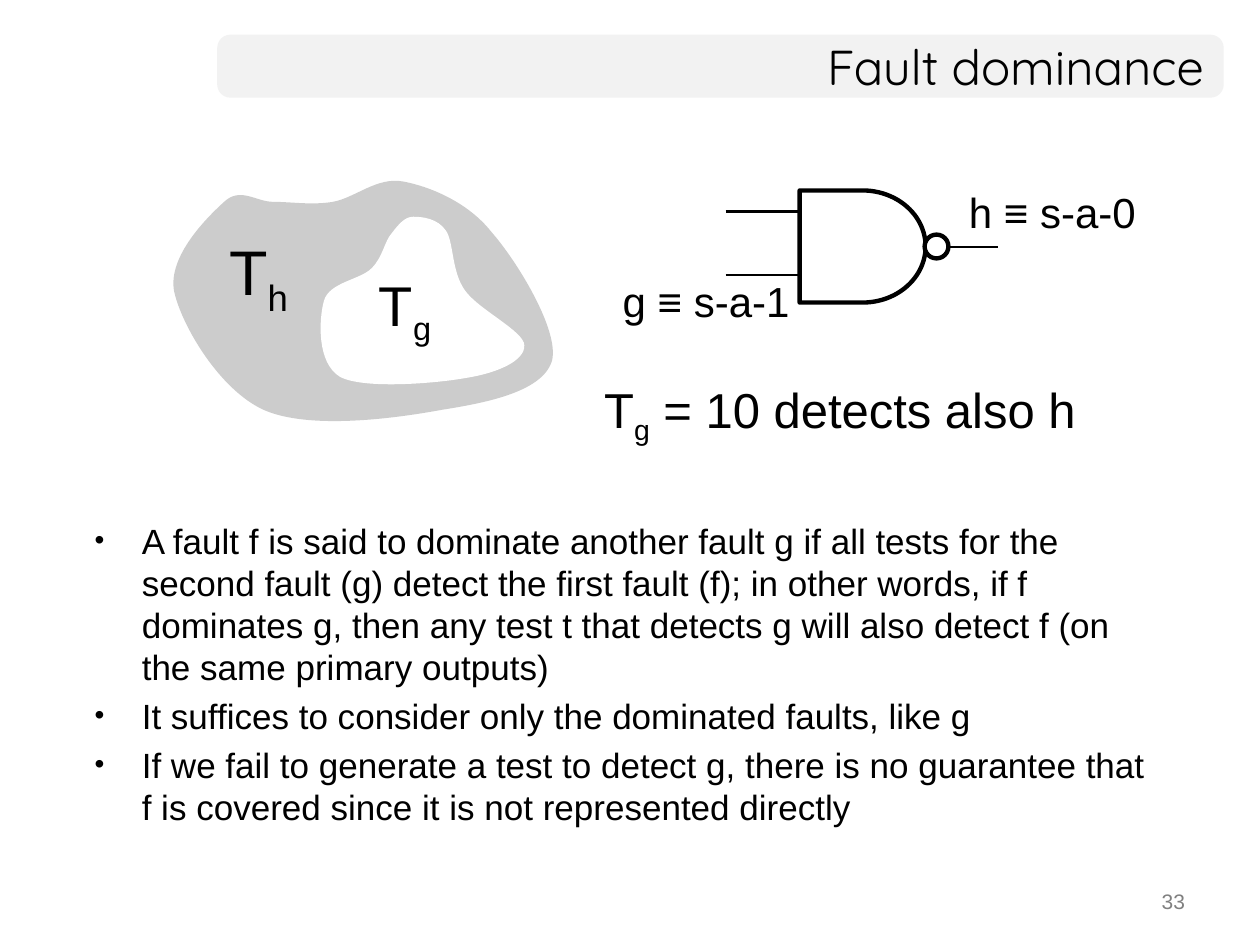
from collections import namedtuple

from lxml.etree import SubElement
from pptx import Presentation
from pptx.dml.color import RGBColor
from pptx.enum.shapes import MSO_CONNECTOR, MSO_SHAPE
from pptx.enum.text import MSO_ANCHOR, MSO_AUTO_SIZE, PP_ALIGN
from pptx.oxml.ns import qn
from pptx.util import Cm, Pt

Box = namedtuple("Box", "left top width height")

BLACK, WHITE, GREY, PANEL = "000000", "FFFFFF", "808080", "F2F2F2"
BODY_FONT, TITLE_FONT = "Arial", "Quicksand"

OUTER_SET = [
    (2.13, 0.51), (2.51, 0.51), (2.9, 0.58), (3.33, 0.51), (3.78, 0.43), (4.22, 0),
    (4.75, 0.1), (5.28, 0.2), (6.05, 0.51), (6.53, 1.12), (7.04, 1.7), (7.9, 3.1),
    (7.75, 3.71), (7.57, 4.32), (6.5, 4.55), (5.54, 4.7), (4.57, 4.88), (2.84, 5.11),
    (1.93, 4.7), (1.04, 4.29), (0.28, 3), (0.13, 2.31), (0, 1.6), (0.81, 0.81),
    (1.14, 0.51), (1.47, 0.2), (1.78, 0.51), (2.13, 0.51),
]
INNER_SET = [
    (4.52, 1.14), (4.65, 0.97), (4.78, 0.81), (4.95, 0.81), (5.13, 0.81), (5.44, 0.84),
    (5.61, 1.09), (5.77, 1.32), (5.72, 1.91), (5.99, 2.29), (6.25, 2.67), (7.19, 3.12),
    (7.19, 3.4), (7.21, 3.71), (6.65, 3.96), (6.02, 4.06), (5.41, 4.17), (3.96, 4.29),
    (3.48, 4.04), (3, 3.76), (3.05, 2.87), (3.15, 2.51), (3.25, 2.13), (3.89, 2.08),
    (4.11, 1.85), (4.34, 1.63), (4.37, 1.3), (4.52, 1.14),
]
STATEMENTS = [
    "A fault f is said to dominate another fault g if all tests for the second fault (g) "
    "detect the first fault (f); in other words, if f dominates g, then any test t that "
    "detects g will also detect f (on the same primary outputs)",
    "It suffices to consider only the dominated faults, like g",
    "If we fail to generate a test to detect g, there is no guarantee that f is covered "
    "since it is not represented directly",
]


def colour(value):
    """Turn a hex string into a colour."""
    return RGBColor.from_string(value)


def inside(box, left, top, width, height):
    """Return a box placed relative to another one."""
    return Box(box.left + left, box.top + top, width, height)


def emu(box):
    """Return the four lengths of a box given in centimetres."""
    return [Cm(length) for length in box]


def style(font, size, name=BODY_FONT, value=BLACK):
    """Set size, face and colour of a font."""
    font.size, font.name = Pt(size), name
    font.color.rgb = colour(value)


def paint(shape, fill, line=None):
    """Fill a shape, with an outline only where a colour is given."""
    shape.shadow.inherit = False
    shape.fill.solid()
    shape.fill.fore_color.rgb = colour(fill)
    if line:
        shape.line.color.rgb = colour(line)
        shape.line.width = Pt(2.5)
    else:
        shape.line.fill.background()


def add_label(page, box, parts, size, align=PP_ALIGN.LEFT, anchor=MSO_ANCHOR.TOP, value=BLACK):
    """Write a one-line label whose every second part is a subscript."""
    frame = page.shapes.add_textbox(*emu(box)).text_frame
    frame.word_wrap = False
    frame.auto_size = MSO_AUTO_SIZE.SHAPE_TO_FIT_TEXT
    frame.vertical_anchor = anchor
    para = frame.paragraphs[0]
    para.alignment = align
    for index, part in enumerate(parts):
        span = para.add_run()
        span.text = part
        style(span.font, size, value=value)
        if index % 2:
            span.font._element.set("baseline", "-25000")


def add_wire(page, box, start, end, level):
    """Draw a horizontal wire of the circuit."""
    height = Cm(box.top + level)
    wire = page.shapes.add_connector(
        MSO_CONNECTOR.STRAIGHT, Cm(box.left + start), height, Cm(box.left + end), height)
    wire.line.color.rgb = colour(BLACK)
    wire.line.width = Pt(1.5)
    SubElement(wire._element.spPr, qn("a:effectLst"))


def add_blob(page, box, knots, fill):
    """Draw a closed outline of cubic curves, three knots to a curve."""
    points = [(Cm(box.left + x), Cm(box.top + y)) for x, y in knots]
    builder = page.shapes.build_freeform(*points[0])
    builder.add_line_segments(points[1:], close=True)
    blob = builder.convert_to_shape()
    outline = next(blob._element.iter(qn("a:path")))
    segments = outline.findall(qn("a:lnTo"))
    for first in range(0, len(segments), 3):
        curve, *others = segments[first:first + 3]
        bend = SubElement(outline, qn("a:cubicBezTo"))
        curve.addprevious(bend)
        for segment in (curve, *others):
            bend.append(segment[0])
            outline.remove(segment)
    paint(blob, fill)
    return blob


def add_title(page, box):
    """Place the title on its rounded panel."""
    panel = page.shapes.add_shape(MSO_SHAPE.ROUNDED_RECTANGLE, *emu(box))
    panel.adjustments[0] = 0.21
    paint(panel, PANEL)
    title = page.shapes.title
    title._element.addprevious(panel._element)
    title.left, title.top, title.width, title.height = emu(box._replace(width=box.width - 0.15))
    frame = title.text_frame
    frame.text = "Fault dominance"
    frame.vertical_anchor = MSO_ANCHOR.MIDDLE
    para = frame.paragraphs[0]
    para.alignment = PP_ALIGN.RIGHT
    style(para.runs[0].font, 28, TITLE_FONT)


def add_test_sets(page, box):
    """Draw the test set of g inside the test set of h."""
    outer = add_blob(page, box, OUTER_SET, GREY)
    tint = outer._element.spPr.find(qn("a:solidFill"))[0]
    SubElement(tint, qn("a:alpha"), val="40000")
    add_blob(page, box, INNER_SET, WHITE)
    add_label(page, inside(box, 0.99, 1, 1.75, 1.78), ["T", "h"], 36)
    add_label(page, inside(box, 4.01, 1.76, 1.63, 1.63), ["T", "g"], 32)


def add_gate(page, box):
    """Draw the NAND gate with its wires and fault labels."""
    add_wire(page, box, 5.92, 7.82, 1.35)
    for level in (1.91, 0.64):
        add_wire(page, box, 2.34, 4.24, level)
    gate = page.shapes.add_shape(
        MSO_SHAPE.FLOWCHART_DELAY, *emu(inside(box, 3.83, 0.21, 2.54, 2.26)))
    paint(gate, WHITE, BLACK)
    for text, left, top in (("g ≡ s-a-1", 0, 1.8), ("h ≡ s-a-0", 6.98, 0.01)):
        add_label(page, inside(box, left, top, 3.89, 1.27), [text], 24,
                  PP_ALIGN.CENTER, MSO_ANCHOR.MIDDLE)
    bubble = page.shapes.add_shape(
        MSO_SHAPE.FLOWCHART_CONNECTOR, *emu(inside(box, 6.35, 1.1, 0.48, 0.48)))
    paint(bubble, WHITE, BLACK)


def add_statements(page, box):
    """Write the bulleted statements."""
    frame = page.shapes.add_textbox(*emu(box)).text_frame
    frame.word_wrap = True
    for index, text in enumerate(STATEMENTS):
        para = frame.add_paragraph() if index else frame.paragraphs[0]
        para.text = text
        if index:
            para.space_before = Pt(4)
        layout = para._p.get_or_add_pPr()
        layout.set("marL", str(Cm(0.95)))
        layout.set("indent", str(Cm(-0.95)))
        SubElement(layout, qn("a:buSzPct"), val="80000")
        SubElement(layout, qn("a:buFont"), typeface=BODY_FONT)
        SubElement(layout, qn("a:buChar"), char="•")
        style(para.runs[0].font, 20)


def main():
    """Build the deck and save it."""
    deck = Presentation()
    deck.slide_width, deck.slide_height = Cm(25.4), Cm(19.05)
    page = deck.slides.add_slide(deck.slide_layouts.get_by_name("Title Only"))
    add_title(page, Box(4.38, 0.7, 20.29, 1.27))
    add_test_sets(page, Box(3.38, 3.56, 7.9, 5.11))
    add_gate(page, Box(12.29, 3.63, 10.88, 3.07))
    add_label(page, Box(11.93, 7.52, 10.16, 1.45), ["T", "g", " = 10 detects also h"], 28)
    add_statements(page, Box(1.66, 10.34, 21.95, 7.32))
    add_label(page, Box(18.22, 17.78, 5.92, 0.89), ["33"], 12, PP_ALIGN.RIGHT, value=GREY)
    deck.save("out.pptx")


if __name__ == "__main__":
    main()
